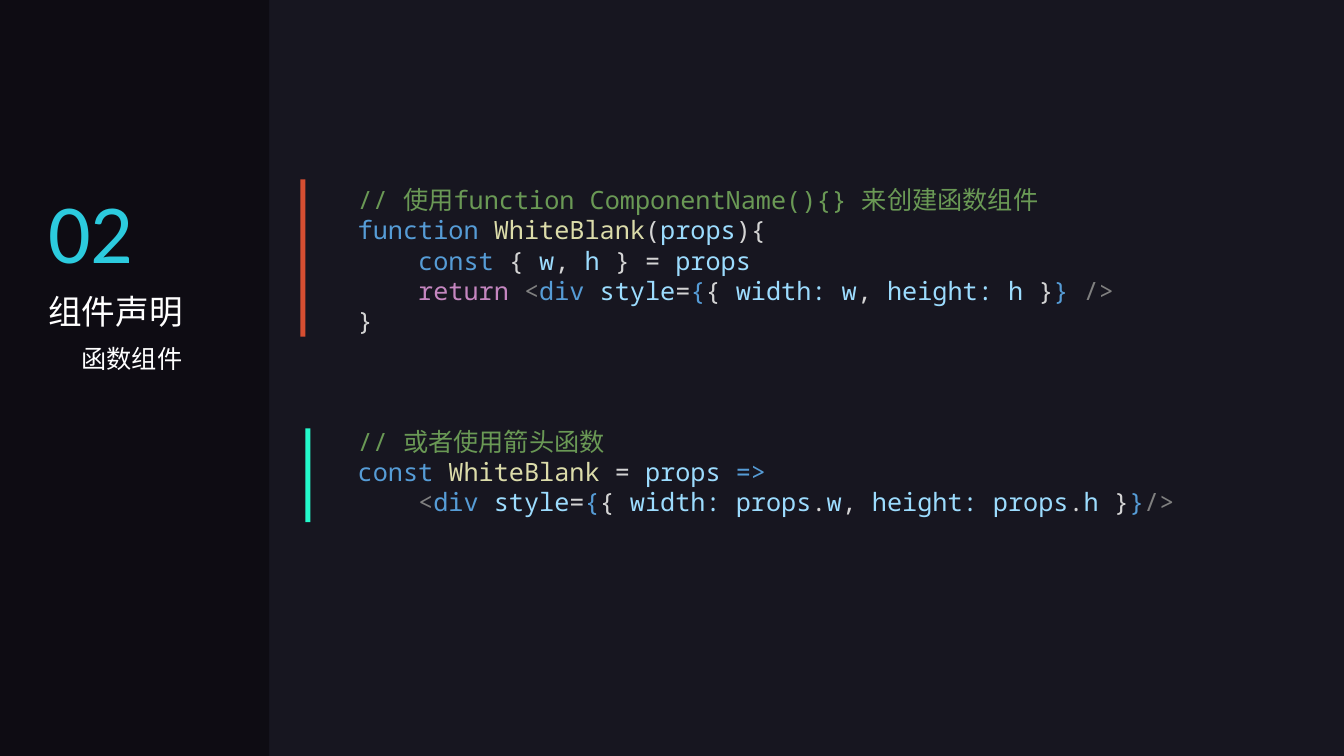
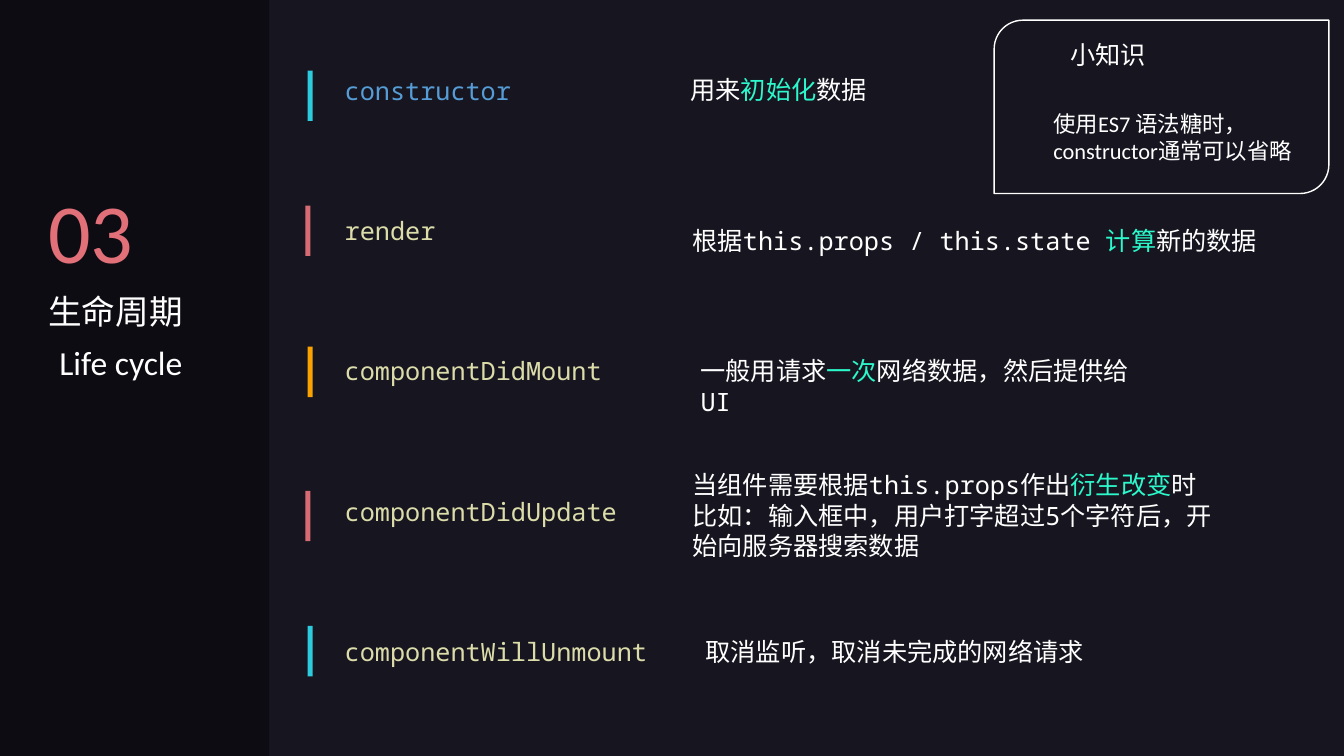
import pptx
import pptx.dml.color
import pptx.enum.shapes
import pptx.util

RGB = pptx.dml.color.RGBColor
KIND = pptx.enum.shapes.MSO_SHAPE
PX = 9144
WIDE, HIGH = 1333, 750
SANS, MONO = "Calibri", "Noto Sans Mono"

BACK = RGB(0x17, 0x16, 0x20)
BAND = RGB(0x0E, 0x0C, 0x13)
WHITE = RGB(0xFF, 0xFF, 0xFF)
CYAN = RGB(0x2C, 0xCB, 0xDE)
PINK = RGB(0xE1, 0x70, 0x79)
ROSE = RGB(0xD7, 0x6B, 0x74)
AMBER = RGB(0xFA, 0xA3, 0x00)
RED = RGB(0xD6, 0x4E, 0x31)
MINT = RGB(0x24, 0xF9, 0xCB)
MARK = RGB(0x2B, 0xF8, 0xCB)
NOTE = RGB(0x6A, 0x99, 0x55)
BLUE = RGB(0x56, 0x9C, 0xD6)
FUNC = RGB(0xDC, 0xDC, 0xAA)
PLAIN = RGB(0xD4, 0xD4, 0xD4)
NAME = RGB(0x9C, 0xDC, 0xFE)
FLOW = RGB(0xC5, 0x86, 0xC0)
GREY = RGB(0x80, 0x80, 0x80)

OPEN = [("<", GREY), ("div ", BLUE), ("style", NAME), ("=", PLAIN),
        ("{", BLUE), ("{ ", PLAIN)]

FIRST = [
    (0, [("// 使用function ComponentName(){} 来创建函数组件", NOTE)]),
    (0, [("function ", BLUE), ("WhiteBlank", FUNC), ("(", PLAIN),
         ("props", NAME), ("){", PLAIN)]),
    (1, [("const", BLUE), (" { ", PLAIN), ("w", NAME), (", ", PLAIN),
         ("h", NAME), (" } = ", PLAIN), ("props", NAME)]),
    (1, [("return ", FLOW), *OPEN, ("width: w", NAME), (", ", PLAIN),
         ("height: h", NAME), (" }", PLAIN), ("} ", BLUE), ("/>", GREY)]),
    (0, [("}", PLAIN)]),
]

ARROW = [
    (0, [("// 或者使用箭头函数", NOTE)]),
    (0, [("const ", BLUE), ("WhiteBlank", FUNC), (" = ", PLAIN),
         ("props ", NAME), ("=>", BLUE)]),
    (1, [*OPEN, ("width: props", NAME), (".", PLAIN), ("w", NAME),
         (", ", PLAIN), ("height: props", NAME), (".", PLAIN), ("h", NAME),
         (" }", PLAIN), ("}", BLUE), ("/>", GREY)]),
]

STEPS = [
    ("constructor", BLUE, (305, 0, CYAN), (675, -1, 220),
     [[("用来", WHITE), ("初始化", MARK), ("数据", WHITE)]]),
    ("render", FUNC, (303, -5, ROSE), (677, 10, 650),
     [[("根据this.props / this.state ", WHITE), ("计算", MARK),
       ("新的数据", WHITE)]]),
    ("componentDidMount", FUNC, (305, -4, AMBER), (685, 0, 460),
     [[("一般用请求", WHITE), ("一次", MARK),
       ("网络数据，然后提供给UI", WHITE)]]),
    ("componentDidUpdate", FUNC, (303, 0, ROSE), (677, -26, 539),
     [[("当组件需要根据this.props作出", WHITE), ("衍生改变", MARK),
       ("时", WHITE)],
      [("比如：输入框中，用户打字超过5个字符后，开始向服务器搜索数据", WHITE)]]),
    ("componentWillUnmount", FUNC, (305, -5, CYAN), (690, 0, 430),
     [[("取消监听，取消未完成的网络请求", WHITE)]]),
]


def px(*nums):
    """Turn px lengths into EMU."""
    return [pptx.util.Emu(num * PX) for num in nums]


def block(slide, box, fill):
    """Draw a filled rectangle without a line."""
    shape = slide.shapes.add_shape(KIND.RECTANGLE, *px(*box))
    shape.shadow.inherit = False
    shape.fill.solid()
    shape.fill.fore_color.rgb = fill
    shape.line.fill.background()


def write(slide, box, size, font, paras, steps=None):
    """Write paragraphs of (text, colour) runs, with optional indent steps."""
    frame = slide.shapes.add_textbox(*px(*box)).text_frame
    frame.word_wrap = True
    for num, runs in enumerate(paras):
        para = frame.paragraphs[0] if num == 0 else frame.add_paragraph()
        para.font.size = pptx.util.Pt(size)
        para.font.name = font
        para.font.color.rgb = runs[0][1]
        if steps and steps[num]:
            para._p.get_or_add_pPr().set("marL", str(steps[num] * 60 * PX))
        for words, tint in runs:
            run = para.add_run()
            run.text = words
            if len(runs) > 1:
                run.font.color.rgb = tint


def side(slide, num, tint, title, sub, left, top, size):
    """Draw the dark band with number, title and subtitle."""
    block(slide, (0, 0, 267, HIGH), BAND)
    write(slide, (38, 173, 188, 111), 60, SANS, [[(num, tint)]])
    write(slide, (38, 284, 188, 50), 24, SANS, [[(title, WHITE)]])
    write(slide, (left, top, 188, 50), size, SANS, [[(sub, WHITE)]])


def code(slide, box, lines):
    """Write indented lines of coloured code."""
    write(slide, box, 18, MONO, [runs for _, runs in lines],
          [step for step, _ in lines])


def row(slide, top, label, tint, bar, place, paras):
    """Draw one life cycle step: bar, label and meaning."""
    left, down, fill = bar
    block(slide, (left, top + down, 5, 50), fill)
    write(slide, (332, top, 340, 40), 18, MONO, [[(label, tint)]])
    left, down, wide = place
    write(slide, (left, top + down, wide, 40), 18, MONO, paras)


def tip(slide, left, top):
    """Draw the outlined tip card."""
    card = slide.shapes.add_shape(KIND.ROUND_2_DIAG_RECTANGLE,
                                  *px(left, top, 332, 172))
    card.shadow.inherit = False
    card.fill.background()
    card.line.color.rgb = WHITE
    card.line.width = pptx.util.Pt(1)
    write(slide, (left + 66, top + 14, 120, 40), 18, SANS,
          [[("小知识", WHITE)]])
    write(slide, (left + 49, top + 84, 290, 64), 16, SANS,
          [[("使用ES7 语法糖时，constructor通常可以省略", WHITE)]])


def declare(slide):
    """Build the function component slide."""
    side(slide, "02", CYAN, "组件声明", "函数组件", 71, 336, 18)
    block(slide, (298, 178, 5, 156), RED)
    code(slide, (345, 178, 917, 161), FIRST)
    block(slide, (303, 425, 5, 93), MINT)
    code(slide, (345, 418, 917, 101), ARROW)


def cycle(slide):
    """Build the life cycle slide."""
    side(slide, "03", PINK, "生命周期", "Life cycle", 49, 334, 24)
    for num, step in enumerate(STEPS):
        row(slide, 70 + 139 * num, *step)
    tip(slide, 986, 20)


def main():
    """Make the deck and save it."""
    deck = pptx.Presentation()
    deck.slide_width, deck.slide_height = px(WIDE, HIGH)
    fill = deck.slide_master.background.fill
    fill.solid()
    fill.fore_color.rgb = BACK
    for build in (declare, cycle):
        build(deck.slides.add_slide(deck.slide_layouts[6]))
    deck.save("out.pptx")


if __name__ == "__main__":
    main()
